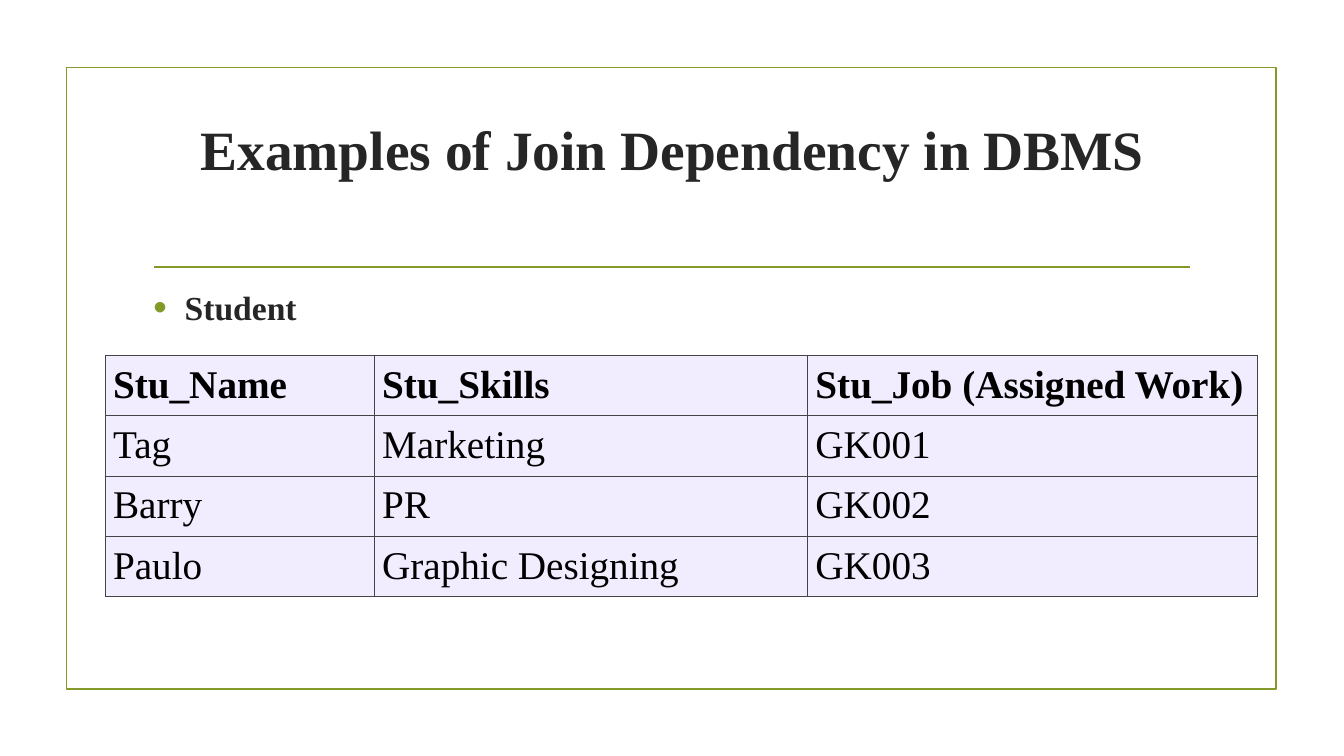
from lxml.etree import SubElement
from pptx import Presentation
from pptx.dml.color import RGBColor
from pptx.enum.shapes import MSO_CONNECTOR, MSO_SHAPE
from pptx.enum.text import MSO_ANCHOR, MSO_AUTO_SIZE, PP_ALIGN
from pptx.oxml.ns import qn
from pptx.util import Cm, Pt

OLIVE = "83992A"
CHARCOAL = "262626"
LAVENDER = "F1EDFF"
GRID = "444444"
STUDENTS = [
    ("Stu_Name", "Stu_Skills", "Stu_Job (Assigned Work)"),
    ("Tag", "Marketing", "GK001"),
    ("Barry", "PR", "GK002"),
    ("Paulo", "Graphic Designing", "GK003"),
]
COLUMN_WIDTHS = (6.78, 10.92, 11.33)
ROW_HEIGHT = 1.52


def rgb(value):
    return RGBColor.from_string(value)


def style_line(line):
    line.color.rgb = rgb(OLIVE)
    line.width = Pt(1.25)


def style_text(paragraph, size, color, bold):
    font = paragraph.font
    font.name = "Times New Roman"
    font.size = Pt(size)
    font.bold = bold
    font.color.rgb = rgb(color)


def add_frame(slide):
    frame = slide.shapes.add_shape(
        MSO_SHAPE.RECTANGLE, Cm(1.68), Cm(1.7), Cm(30.48), Cm(15.67))
    frame.shadow.inherit = False
    frame.fill.background()
    style_line(frame.line)


def add_divider(slide):
    divider = slide.shapes.add_connector(
        MSO_CONNECTOR.STRAIGHT, Cm(3.89), Cm(6.73), Cm(30), Cm(6.73))
    style_line(divider.line)
    SubElement(divider._element.spPr, qn("a:effectLst"))


def fill_placeholder(placeholder, text, top, height, size):
    placeholder.left, placeholder.top = Cm(3.61), Cm(top)
    placeholder.width, placeholder.height = Cm(26.67), Cm(height)
    frame = placeholder.text_frame
    frame.text = text
    frame.word_wrap = True
    frame.auto_size = MSO_AUTO_SIZE.NONE
    paragraph = frame.paragraphs[0]
    style_text(paragraph, size, CHARCOAL, True)
    return frame, paragraph


def add_title(slide):
    frame, paragraph = fill_placeholder(
        slide.shapes.title, "Examples of Join Dependency in DBMS", 2.72, 3.63, 39.6)
    frame.vertical_anchor = MSO_ANCHOR.MIDDLE
    frame.margin_bottom = Cm(1.7)
    paragraph.alignment = PP_ALIGN.CENTER


def add_bullet_list(slide):
    _, paragraph = fill_placeholder(slide.placeholders[1], "Student", 7.11, 9.22, 24)
    paragraph.space_after = Pt(6)
    properties = paragraph._p.get_or_add_pPr()
    properties.set("marL", str(Cm(0.79)))
    properties.set("indent", str(Cm(-0.79)))
    defaults = properties.find(qn("a:defRPr"))
    bullet_color = SubElement(properties, qn("a:buClr"))
    SubElement(bullet_color, qn("a:srgbClr"), val=OLIVE)
    SubElement(properties, qn("a:buSzPct"), val="115000")
    SubElement(properties, qn("a:buFont"), typeface="Arial")
    SubElement(properties, qn("a:buChar"), char="•")
    properties.append(defaults)


def add_borders(cell):
    properties = cell._tc.get_or_add_tcPr()
    for position, side in enumerate(("lnL", "lnR", "lnT", "lnB")):
        border = SubElement(properties, qn(f"a:{side}"), w=str(Pt(0.38)))
        fill = SubElement(border, qn("a:solidFill"))
        SubElement(fill, qn("a:srgbClr"), val=GRID)
        properties.insert(position, border)


def style_cell(cell, text, bold):
    cell.text = text
    cell.margin_left = cell.margin_right = Cm(0.2)
    cell.margin_top = cell.margin_bottom = Cm(0.2)
    cell.fill.solid()
    cell.fill.fore_color.rgb = rgb(LAVENDER)
    style_text(cell.text_frame.paragraphs[0], 28, "000000", bold)
    add_borders(cell)


def add_student_table(slide):
    students = slide.shapes.add_table(
        len(STUDENTS), len(COLUMN_WIDTHS), Cm(2.65), Cm(8.95),
        Cm(sum(COLUMN_WIDTHS)), Cm(ROW_HEIGHT * len(STUDENTS))).table
    students.first_row = False
    students.horz_banding = False
    for column, width in zip(students.columns, COLUMN_WIDTHS):
        column.width = Cm(width)
    for row, record in enumerate(STUDENTS):
        for column, text in enumerate(record):
            style_cell(students.cell(row, column), text, row == 0)


def main():
    deck = Presentation()
    deck.slide_width, deck.slide_height = Cm(33.87), Cm(19.05)
    slide = deck.slides.add_slide(deck.slide_layouts[1])
    add_frame(slide)
    add_divider(slide)
    add_title(slide)
    add_bullet_list(slide)
    add_student_table(slide)
    deck.save("out.pptx")


if __name__ == "__main__":
    main()
